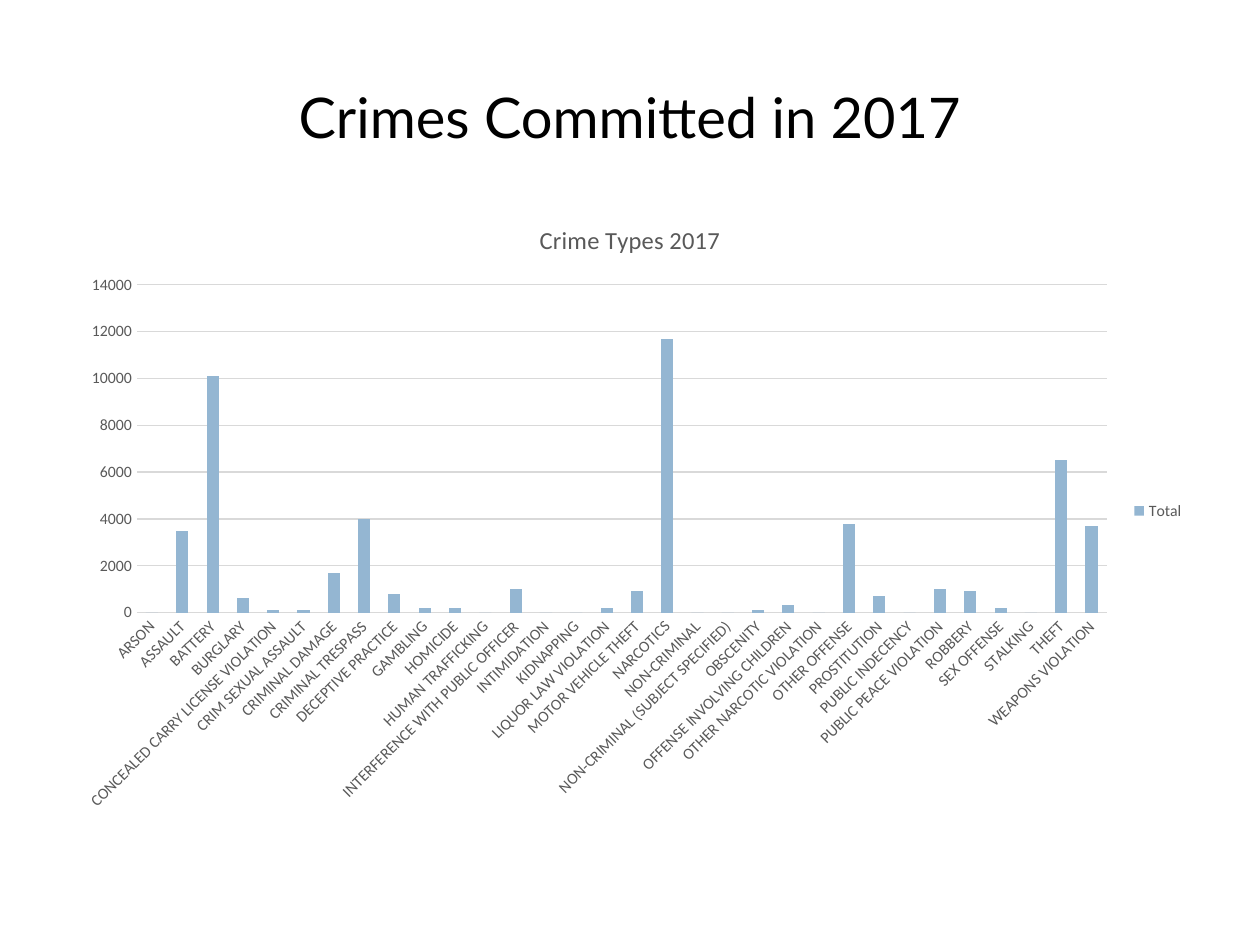
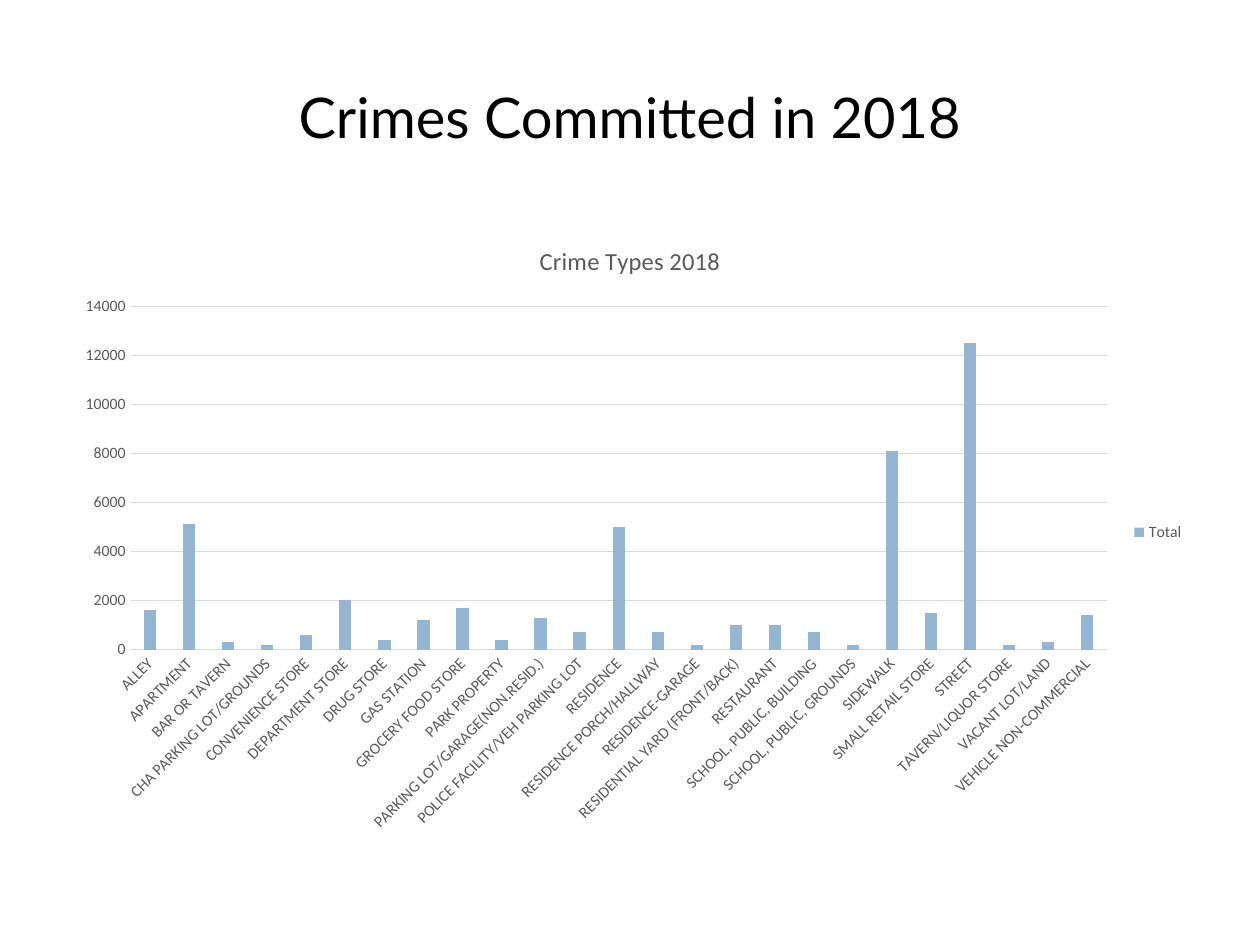
from dataclasses import dataclass

from pptx import Presentation
from pptx.chart.data import CategoryChartData
from pptx.dml.color import RGBColor
from pptx.enum.chart import XL_CHART_TYPE, XL_LEGEND_POSITION, XL_TICK_MARK
from pptx.enum.text import MSO_ANCHOR, PP_ALIGN
from pptx.util import Inches, Pt

STACKED = XL_CHART_TYPE.COLUMN_STACKED
CLUSTERED = XL_CHART_TYPE.COLUMN_CLUSTERED
RIGHT = XL_LEGEND_POSITION.RIGHT
NO_TICK = XL_TICK_MARK.NONE
MIDDLE = MSO_ANCHOR.MIDDLE
CENTER = PP_ALIGN.CENTER


@dataclass(frozen=True)
class Theme:
    """Colours, fonts and type sizes of the deck."""
    ink: RGBColor = RGBColor(0x00, 0x00, 0x00)
    gray: RGBColor = RGBColor(0x59, 0x59, 0x59)
    rule: RGBColor = RGBColor(0xD9, 0xD9, 0xD9)
    bar: RGBColor = RGBColor(0x94, 0xB6, 0xD2)
    head: str = "Lato"
    body: str = "Calibri"
    title: int = 32
    chart: int = 14
    base: int = 10
    label: int = 9


THEME = Theme()

CRIMES = {
    "ARSON": 0, "ASSAULT": 3500, "BATTERY": 10100, "BURGLARY": 600,
    "CONCEALED CARRY LICENSE VIOLATION": 100, "CRIM SEXUAL ASSAULT": 100,
    "CRIMINAL DAMAGE": 1700, "CRIMINAL TRESPASS": 4000,
    "DECEPTIVE PRACTICE": 800, "GAMBLING": 200, "HOMICIDE": 200,
    "HUMAN TRAFFICKING": 0, "INTERFERENCE WITH PUBLIC OFFICER": 1000,
    "INTIMIDATION": 0, "KIDNAPPING": 0, "LIQUOR LAW VIOLATION": 200,
    "MOTOR VEHICLE THEFT": 900, "NARCOTICS": 11700, "NON-CRIMINAL": 0,
    "NON-CRIMINAL (SUBJECT SPECIFIED)": 0, "OBSCENITY": 100,
    "OFFENSE INVOLVING CHILDREN": 300, "OTHER NARCOTIC VIOLATION": 0,
    "OTHER OFFENSE": 3800, "PROSTITUTION": 700, "PUBLIC INDECENCY": 0,
    "PUBLIC PEACE VIOLATION": 1000, "ROBBERY": 900, "SEX OFFENSE": 200,
    "STALKING": 0, "THEFT": 6500, "WEAPONS VIOLATION": 3700,
}

PLACES = {
    "ALLEY": 1600, "APARTMENT": 5100, "BAR OR TAVERN": 300,
    "CHA PARKING LOT/GROUNDS": 200, "CONVENIENCE STORE": 600,
    "DEPARTMENT STORE": 2000, "DRUG STORE": 400, "GAS STATION": 1200,
    "GROCERY FOOD STORE": 1700, "PARK PROPERTY": 400,
    "PARKING LOT/GARAGE(NON.RESID.)": 1300,
    "POLICE FACILITY/VEH PARKING LOT": 700, "RESIDENCE": 5000,
    "RESIDENCE PORCH/HALLWAY": 700, "RESIDENCE-GARAGE": 200,
    "RESIDENTIAL YARD (FRONT/BACK)": 1000, "RESTAURANT": 1000,
    "SCHOOL, PUBLIC, BUILDING": 700, "SCHOOL, PUBLIC, GROUNDS": 200,
    "SIDEWALK": 8100, "SMALL RETAIL STORE": 1500, "STREET": 12500,
    "TAVERN/LIQUOR STORE": 200, "VACANT LOT/LAND": 300,
    "VEHICLE NON-COMMERCIAL": 1400,
}


def set_font(font, size, color, face):
    """Set size, colour and face of a font."""
    font.size = Pt(size)
    font.bold = False
    font.name = face
    font.color.rgb = color


def set_line(line):
    """Draw a line as a thin gray rule."""
    line.color.rgb = THEME.rule
    line.width = Pt(0.75)


def add_title(slide, text):
    """Add the centred slide title."""
    box = slide.shapes.add_textbox(
        Inches(0.5), Inches(0.3), Inches(9), Inches(1.25))
    frame = box.text_frame
    frame.word_wrap = True
    frame.vertical_anchor = MIDDLE
    para = frame.paragraphs[0]
    para.text = text
    para.alignment = CENTER
    set_font(para.font, THEME.title, THEME.ink, THEME.head)


def style_axes(chart):
    """Style both axes and slant the category labels."""
    cats, vals = chart.category_axis, chart.value_axis
    for axis in (cats, vals):
        axis.major_tick_mark = axis.minor_tick_mark = NO_TICK
        set_font(axis.tick_labels.font, THEME.label, THEME.gray, THEME.body)
    set_line(cats.format.line)
    cats._element.xpath("c:txPr/a:bodyPr")[0].set("rot", "-2700000")
    vals.format.line.fill.background()
    set_line(vals.major_gridlines.format.line)


def add_bars(slide, top, kind, name, counts, gap, lap):
    """Add a column chart of counts with title and legend."""
    data = CategoryChartData()
    data.categories = list(counts)
    data.add_series("Total", list(counts.values()))
    chart = slide.shapes.add_chart(
        kind, Inches(0.5), Inches(top), Inches(9), Inches(4.95), data).chart
    set_font(chart.font, THEME.base, THEME.ink, THEME.body)
    chart.has_title = True
    chart.chart_title.include_in_layout = False
    para = chart.chart_title.text_frame.paragraphs[0]
    para.text = name
    set_font(para.font, THEME.chart, THEME.gray, THEME.body)
    chart.has_legend = True
    chart.legend.position = RIGHT
    chart.legend.include_in_layout = False
    set_font(chart.legend.font, THEME.label, THEME.gray, THEME.body)
    plot = chart.plots[0]
    plot.vary_by_categories = False
    plot.gap_width, plot.overlap = gap, lap
    fill = plot.series[0].format.fill
    fill.solid()
    fill.fore_color.rgb = THEME.bar
    style_axes(chart)


def add_year(deck, year, top, kind, counts, gap, lap):
    """Add the slide for one year."""
    slide = deck.slides.add_slide(deck.slide_layouts[6])
    add_title(slide, f"Crimes Committed in {year}")
    add_bars(slide, top, kind, f"Crime Types {year}", counts, gap, lap)


def main():
    """Build and save the deck."""
    deck = Presentation()
    deck.slide_width, deck.slide_height = Inches(10), Inches(7.5)
    add_year(deck, 2017, 1.58, STACKED, CRIMES, 150, 100)
    add_year(deck, 2018, 1.75, CLUSTERED, PLACES, 219, -27)
    deck.save("out.pptx")


if __name__ == "__main__":
    main()
